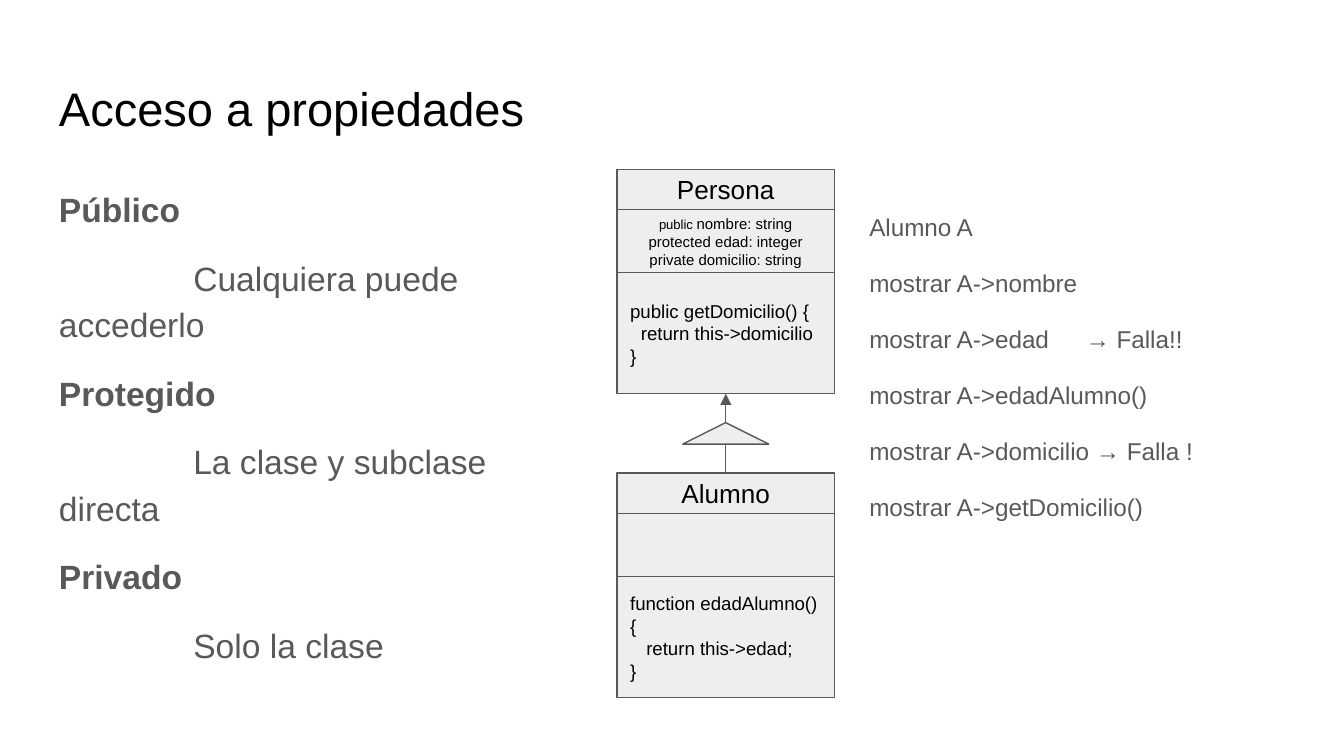
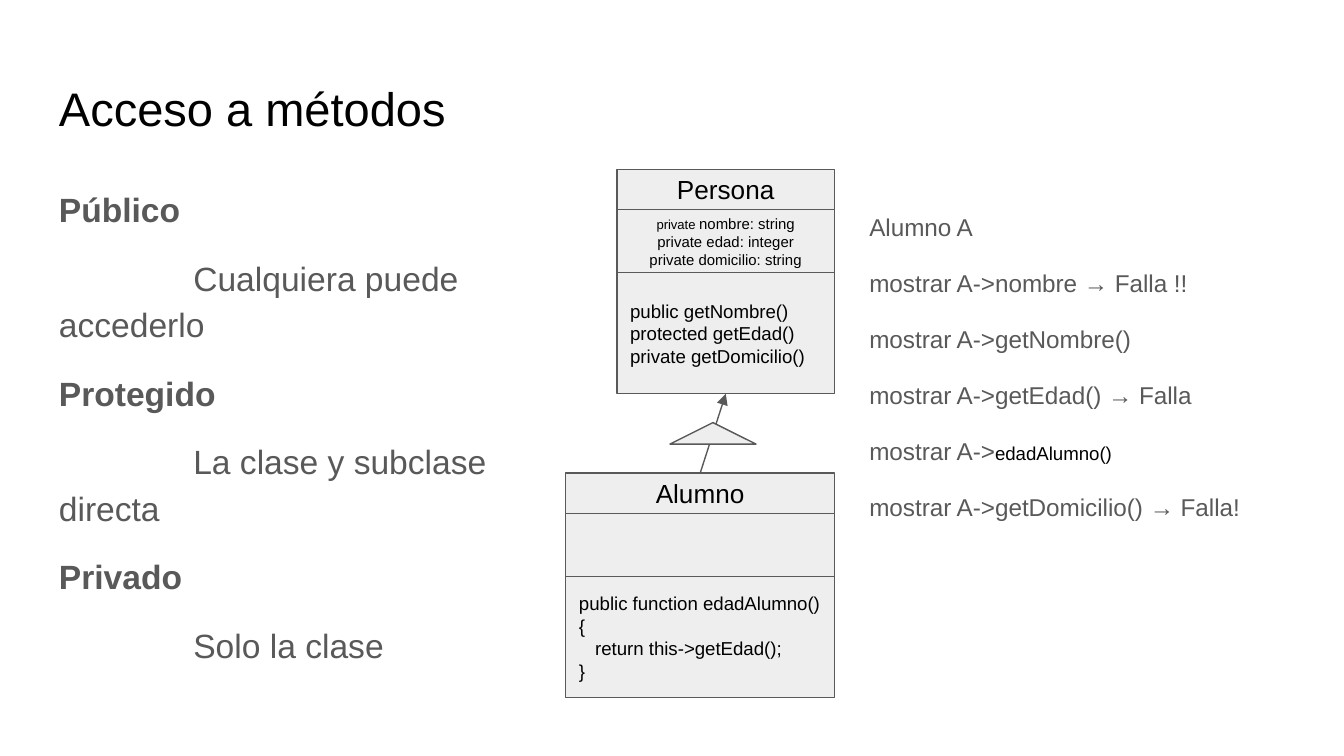
"""Build two slides on access to properties and methods in classes."""
from lxml import etree
from pptx import Presentation
from pptx.dml.color import RGBColor
from pptx.enum.shapes import MSO_CONNECTOR, MSO_SHAPE
from pptx.enum.text import MSO_ANCHOR, PP_ALIGN
from pptx.oxml.ns import qn
from pptx.util import Inches, Pt

RECT, PEAK = MSO_SHAPE.RECTANGLE, MSO_SHAPE.ISOSCELES_TRIANGLE
LINE = MSO_CONNECTOR.STRAIGHT
TOP, MIDDLE = MSO_ANCHOR.TOP, MSO_ANCHOR.MIDDLE
LEFT, CENTER = PP_ALIGN.LEFT, PP_ALIGN.CENTER


class Theme:
    """Hold colours, font and type sizes."""
    font = "Arial"
    ink, grey, pale = "000000", "595959", "EEEEEE"
    title, body, list, name, code, field, small = 25.2, 18, 13, 14, 10, 8, 7
    line = 0.75


WIDE, HIGH = 10, 10 * 9 / 16
INSET = 0.1
ROWS = (0.3, 0.47, 0.9)
RIGHT = 6.21
TOPS = (1.26, 3.52)
WING, RISE = 0.64, 0.16
TITLE_AT = (0.34, 0.49, 9.32, 0.63)
RULES_AT = (0.34, 1.26, 3.96, 3.74)
CALLS_AT = (6.37, 1.45, 3.2, 3.74)
RULE_TAB, CALL_TAB = 1, 1.61

BOLD = {"bold": True}
SMALL = {"size": Theme.small}
CODE = {"size": Theme.code, "color": Theme.ink}

RULES = [
    ("Público", "Cualquiera puede accederlo"),
    ("Protegido", "La clase y subclase directa"),
    ("Privado", "Solo la clase"),
]

SLIDES = [
    {
        "title": "Acceso a propiedades",
        "classes": [
            ("Persona", 1.62,
             [[("public ", SMALL), ("nombre: string", {})],
              "protected edad: integer", "private domicilio: string"],
             ["public getDomicilio() {",
              [("return this->domicilio", {"pad": 0.08})], "}"]),
            ("Alumno", 1.62, [],
             ["function edadAlumno() {",
              [("return this->edad;", {"pad": 0.12})], "}"]),
        ],
        "calls": ["Alumno A", "mostrar A->nombre",
                  "mostrar A->edad\t→ Falla!!", "mostrar A->edadAlumno()",
                  "mostrar A->domicilio → Falla !",
                  "mostrar A->getDomicilio()"],
    },
    {
        "title": "Acceso a métodos",
        "classes": [
            ("Persona", 1.62,
             [[("private ", SMALL), ("nombre: string", {})],
              "private edad: integer", "private domicilio: string"],
             ["public getNombre()", "protected getEdad()",
              "private getDomicilio()"]),
            ("Alumno", 2, [],
             ["public function edadAlumno() {",
              [("return this->getEdad();", {"pad": 0.12})], "}"]),
        ],
        "calls": ["Alumno A", "mostrar A->nombre → Falla !!",
                  "mostrar A->getNombre()", "mostrar A->getEdad() → Falla",
                  [("mostrar A->", {}), ("edadAlumno()", CODE)],
                  "mostrar A->getDomicilio() → Falla!"],
    },
]


def write(shape, paras, size, color=Theme.ink, align=LEFT, anchor=TOP,
          lead=None, gap=0, tab=None):
    """Fill a shape with paragraphs of plain or mixed runs."""
    frame = shape.text_frame
    frame.word_wrap, frame.vertical_anchor = True, anchor
    frame.margin_left = frame.margin_right = Inches(INSET)
    frame.margin_top = frame.margin_bottom = Inches(INSET)
    for i, para in enumerate(paras):
        p = frame.add_paragraph() if i else frame.paragraphs[0]
        p.alignment = align
        if lead:
            p.line_spacing = lead
        if gap:
            p.space_before = Pt(gap if i else 0)
            p.space_after = Pt(gap if i == len(paras) - 1 else 0)
        props = p._p.get_or_add_pPr()
        if tab:
            stops = etree.SubElement(props, qn("a:tabLst"))
            etree.SubElement(stops, qn("a:tab"), pos=str(Inches(tab)), algn="l")
        for words, form in [(para, {})] if isinstance(para, str) else para:
            if "pad" in form:
                props.set("marL", str(Inches(form["pad"])))
            run = p.add_run()
            run.text = words
            run.font.name = Theme.font
            run.font.size = Pt(form.get("size", size))
            run.font.bold = form.get("bold", False)
            run.font.color.rgb = RGBColor.from_string(form.get("color", color))


def label(slide, spot, paras, **form):
    """Add a text box."""
    write(slide.shapes.add_textbox(*map(Inches, spot)), paras, **form)


def block(shapes, kind, *spot):
    """Add a pale shape with a thin grey outline."""
    shape = shapes.add_shape(kind, *map(Inches, spot))
    shape.shadow.inherit = False
    shape.fill.solid()
    shape.fill.fore_color.rgb = RGBColor.from_string(Theme.pale)
    edge(shape)
    return shape


def edge(shape):
    """Set the common outline."""
    shape.line.color.rgb = RGBColor.from_string(Theme.grey)
    shape.line.width = Pt(Theme.line)


def draw_class(slide, top, name, width, fields, code):
    """Stack the three parts of a class and return them."""
    group = slide.shapes.add_group_shape().shapes
    cells = [block(group, RECT, RIGHT - width, top + sum(ROWS[:i]), width, row)
             for i, row in enumerate(ROWS)]
    parts = [([name], Theme.name, CENTER), (fields, Theme.field, CENTER),
             (code, Theme.code, LEFT)]
    for cell, (paras, size, align) in zip(cells, parts):
        write(cell, paras, size, align=align, anchor=MIDDLE)
    return cells


def link(slide, child, base):
    """Join a subclass to its base with an arrow and a triangle."""
    wire = slide.shapes.add_connector(LINE, 0, 0, 0, 0)
    wire.begin_connect(child, 0)
    wire.end_connect(base, 2)
    edge(wire)
    etree.SubElement(wire.line._get_or_add_ln(), qn("a:tailEnd"), type="triangle")
    etree.SubElement(wire._element.spPr, qn("a:effectLst"))
    mid_x = Inches(1) and (wire.begin_x + wire.end_x) / 2 / Inches(1)
    mid_y = (wire.begin_y + wire.end_y) / 2 / Inches(1)
    block(slide.shapes, PEAK, mid_x - WING / 2, mid_y - RISE / 2, WING, RISE)


def build(deck, data):
    """Draw one slide."""
    slide = deck.slides.add_slide(deck.slide_layouts[6])
    label(slide, TITLE_AT, [data["title"]], size=Theme.title)
    rules = [para for head, note in RULES
             for para in ([(head, BOLD)], "\t" + note)]
    label(slide, RULES_AT, rules, size=Theme.body, color=Theme.grey,
          lead=1.15, gap=12, tab=RULE_TAB)
    base, child = [draw_class(slide, top, *item)
                   for top, item in zip(TOPS, data["classes"])]
    link(slide, child[0], base[-1])
    label(slide, CALLS_AT, data["calls"], size=Theme.list, color=Theme.grey,
          lead=1.15, gap=12, tab=CALL_TAB)


def main():
    """Build and save the deck."""
    deck = Presentation()
    deck.slide_width, deck.slide_height = Inches(WIDE), Inches(HIGH)
    for data in SLIDES:
        build(deck, data)
    deck.save("out.pptx")


if __name__ == "__main__":
    main()
